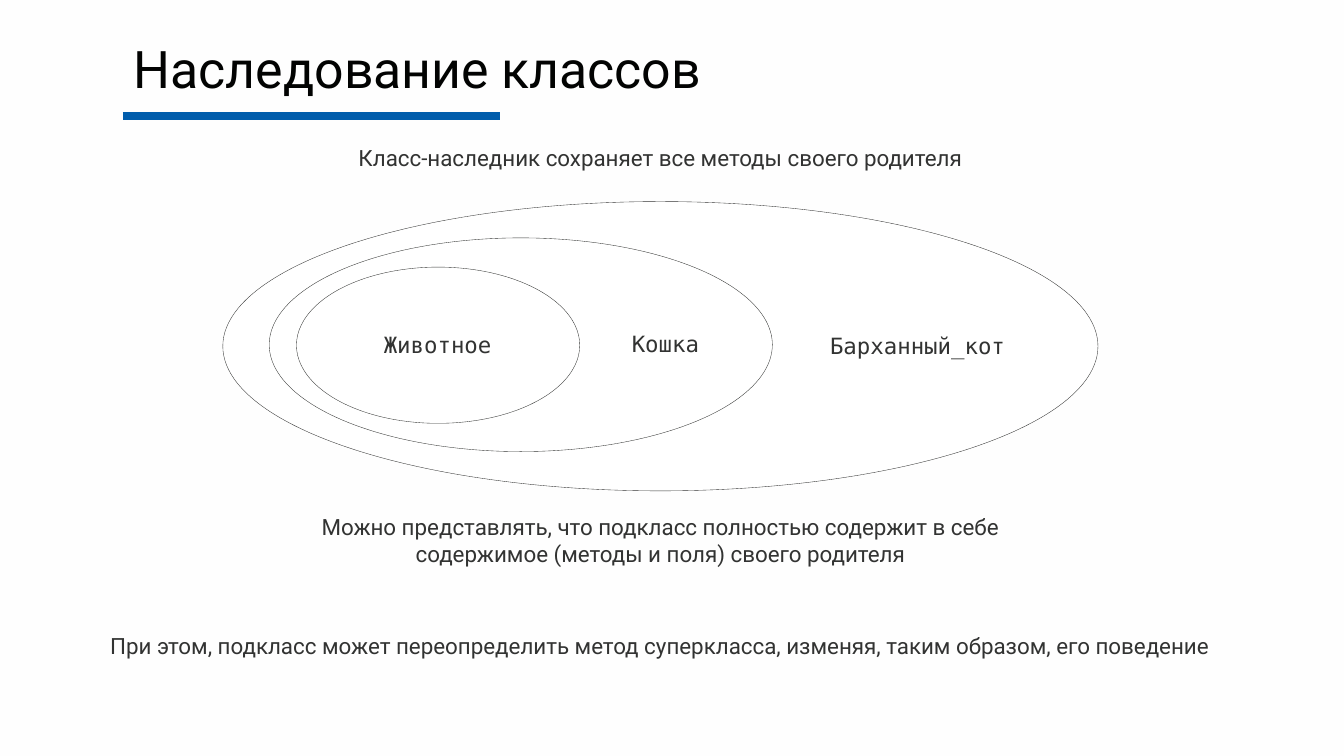
from lxml.etree import SubElement
from pptx import Presentation
from pptx.dml.color import RGBColor
from pptx.enum.shapes import MSO_CONNECTOR, MSO_SHAPE
from pptx.enum.text import MSO_ANCHOR, PP_ALIGN
from pptx.oxml.ns import qn
from pptx.util import Pt

PX = 9144  # EMU per px, 100 px to the inch
COLORS = {
    "background": "FEFEFE",
    "accent": "015DAC",
    "title": "020302",
    "text": "323332",
    "ellipse": "FFFFFF",
}
BODY_FONT, CODE_FONT = "Roboto", "DejaVu Sans Mono"
FRAME_FORMAT = {
    "word_wrap": True,
    "vertical_anchor": MSO_ANCHOR.TOP,
    "margin_left": 5 * PX,
    "margin_top": 5 * PX,
    "margin_right": 5 * PX,
    "margin_bottom": 5 * PX,
}


def color(name):
    return RGBColor.from_string(COLORS[name])


def scaled(*lengths):
    return [length * PX for length in lengths]


def set_attributes(target, values):
    for name, value in values.items():
        setattr(target, name, value)


def add_text(slide, box, lines, font=BODY_FONT, size=16, fill="text",
             frame_format=None, paragraph_format=None):
    frame = slide.shapes.add_textbox(*scaled(*box)).text_frame
    set_attributes(frame, FRAME_FORMAT | (frame_format or {}))
    frame.text = "\n".join(lines)
    for paragraph in frame.paragraphs:
        set_attributes(paragraph, paragraph_format or {"alignment": PP_ALIGN.CENTER})
        set_attributes(paragraph.font, {"name": font, "size": Pt(size)})
        paragraph.font.color.rgb = color(fill)


def add_heading(slide, box):
    left, top, width, height = box
    # Rule under the title
    rule = slide.shapes.add_connector(
        MSO_CONNECTOR.STRAIGHT,
        *scaled(left - 1, top + 76, left + 373, top + 76))
    rule.line.color.rgb = color("accent")
    rule.line.width = Pt(6)
    SubElement(rule._element.spPr, qn("a:effectLst"))
    # Title
    add_text(slide, box, ["Наследование классов"], size=37, fill="title",
             frame_format={"margin_left": 10 * PX, "margin_top": 9 * PX},
             paragraph_format={"alignment": PP_ALIGN.LEFT, "line_spacing": 0.8})


def add_nested_classes(slide, box):
    left, top, width, height = box
    # Ellipses, outermost first
    for x, y, ellipse_width, ellipse_height in (
            (0, 0, width, height), (46, 36, 499, 212), (73, 65, 281, 155)):
        ellipse = slide.shapes.add_shape(
            MSO_SHAPE.OVAL,
            *scaled(left + x, top + y, ellipse_width, ellipse_height))
        ellipse.shadow.inherit = False
        ellipse.fill.solid()
        ellipse.fill.fore_color.rgb = color("ellipse")
        ellipse.line.color.rgb = color("text")
        ellipse.line.width = Pt(0.25)
    # Class names
    for name, x, y, label_width in (
            ("Барханный_кот", 583, 125, 212),
            ("Кошка", 345, 123, 188),
            ("Животное", 119, 124, 188)):
        add_text(slide, (left + x, top + y, label_width, 37), [name], font=CODE_FONT)


def main():
    presentation = Presentation()
    set_attributes(presentation, {"slide_width": 1333 * PX, "slide_height": 750 * PX})
    slide = presentation.slides.add_slide(presentation.slide_layouts[6])
    slide.background.fill.solid()
    slide.background.fill.fore_color.rgb = color("background")

    add_heading(slide, (123, 39, 1064, 60))
    add_text(slide, (123, 138, 1064, 37),
             ["Класс-наследник сохраняет все методы своего родителя"])
    add_nested_classes(slide, (221, 200, 868, 287))
    add_text(slide, (123, 504, 1064, 64),
             ["Можно представлять, что подкласс полностью содержит в себе",
              "содержимое (методы и поля) своего родителя"])
    add_text(slide, (98, 622, 1113, 37),
             ["При этом, подкласс может переопределить метод суперкласса, "
              "изменяя, таким образом, его поведение"])
    presentation.save("out.pptx")


if __name__ == "__main__":
    main()
